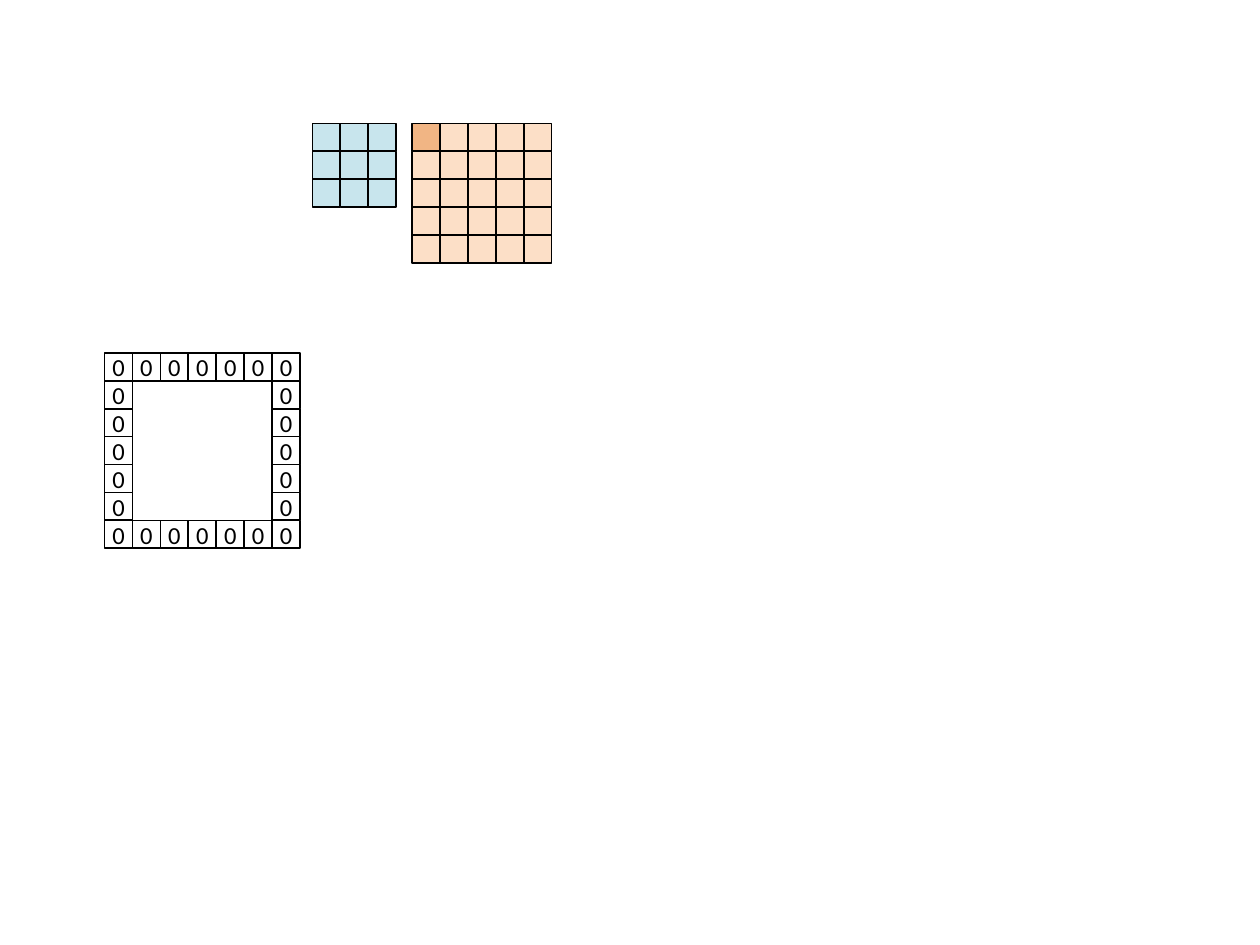
from itertools import product

from pptx import Presentation
from pptx import util as u
from pptx.dml.color import RGBColor
from pptx.enum import shapes, text
from pptx.oxml import ns
from lxml import etree

BLACK = RGBColor(0x00, 0x00, 0x00)
WHITE = RGBColor(0xFF, 0xFF, 0xFF)
BLUE = RGBColor(0x93, 0xCD, 0xDD)
PEACH = RGBColor(0xFA, 0xC0, 0x90)
ORANGE = RGBColor(0xE4, 0x6C, 0x0A)

CELL = 1.33 / 6  # side of one square, in inches
PAD = 7          # cells along a side of the padding ring


def add_cell(tree, left, top, col, row, fill):
    """Half-transparent square at a column and row of a grid."""
    box = tree.add_shape(
        shapes.MSO_SHAPE.RECTANGLE,
        u.Inches(left + col * CELL), u.Inches(top + row * CELL),
        u.Inches(CELL), u.Inches(CELL))
    box.shadow.inherit = False
    box.fill.solid()
    box.fill.fore_color.rgb = fill
    color = box.fill._xPr.find(ns.qn("a:solidFill"))[0]
    etree.SubElement(color, ns.qn("a:alpha"), val="50000")
    box.line.color.rgb = BLACK
    box.line.width = u.Pt(1)
    return box


def add_label(box, word):
    """Centred number in a cell."""
    frame = box.text_frame
    frame.margin_left = frame.margin_right = u.Inches(0.31)
    frame.margin_top = frame.margin_bottom = u.Inches(0.05)
    frame.vertical_anchor = text.MSO_ANCHOR.MIDDLE
    para = frame.paragraphs[0]
    para.alignment = text.PP_ALIGN.CENTER
    run = para.add_run()
    run.text = word
    run.font.name = "Calibri"
    run.font.size = u.Pt(14)
    run.font.color.rgb = BLACK


def add_ring(tree, left, top, size):
    """Border of zero cells around an empty square."""
    ends = (0, size - 1)
    for row, col in product(range(size), repeat=2):
        if row in ends or col in ends:
            add_label(add_cell(tree, left, top, col, row, WHITE), "0")


def add_grid(tree, left, top, size, fill, first):
    """Grouped square grid whose first cell has its own colour."""
    group = tree.add_group_shape()
    for row, col in product(range(size), repeat=2):
        tint = first if row == col == 0 else fill
        add_cell(group.shapes, left, top, col, row, tint)


def main():
    deck = Presentation()
    deck.slide_width = u.Inches(10)
    deck.slide_height = u.Inches(7.5)
    tree = deck.slides.add_slide(deck.slide_layouts[6]).shapes

    # Zero padding
    add_ring(tree, 0.83, 2.8, PAD)

    # Kernel and input
    add_grid(tree, 2.48, 0.98, 3, BLUE, BLUE)
    add_grid(tree, 3.27, 0.98, 5, PEACH, ORANGE)

    deck.save("out.pptx")


if __name__ == "__main__":
    main()
